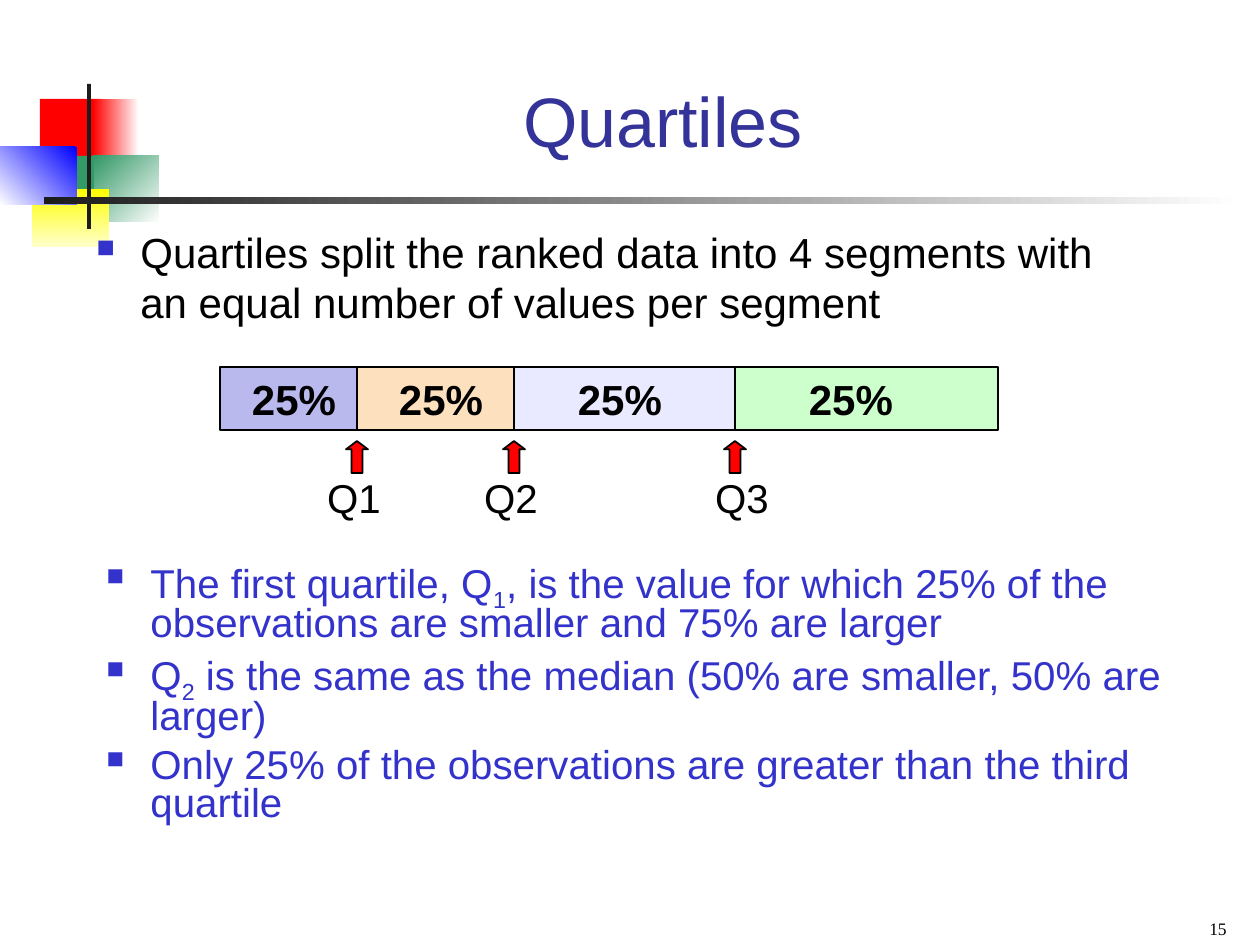
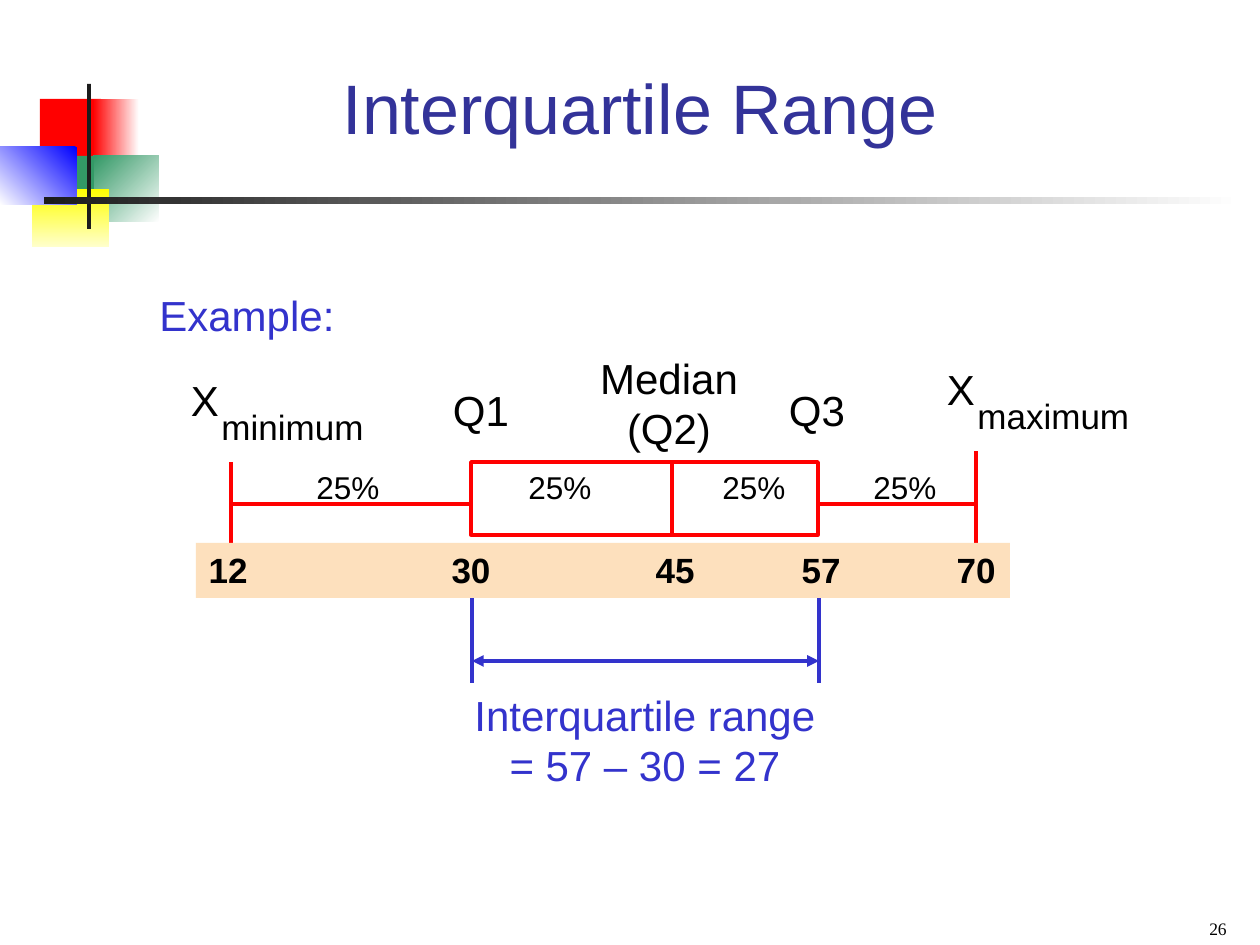
from lxml import etree
from pptx import Presentation
from pptx.dml.color import RGBColor
from pptx.enum.shapes import MSO_CONNECTOR, MSO_SHAPE
from pptx.enum.text import MSO_ANCHOR, PP_ALIGN
from pptx.oxml.ns import qn
from pptx.util import Emu, Pt

RECTANGLE, UP_ARROW = MSO_SHAPE.RECTANGLE, MSO_SHAPE.UP_ARROW
STRAIGHT = MSO_CONNECTOR.STRAIGHT
LEFT, CENTER, RIGHT = PP_ALIGN.LEFT, PP_ALIGN.CENTER, PP_ALIGN.RIGHT
TOP, BOTTOM = MSO_ANCHOR.TOP, MSO_ANCHOR.BOTTOM

BLACK, WHITE, CHARCOAL = "000000", "FFFFFF", "1C1C1C"
RED, BLUE, TITLE_BLUE, PEACH = "FF0000", "3333CC", "333399", "FDE0BD"

MOTIF = [
    ((40, 99, 61, 66), (RED,), 0),
    ((93, 99, 46, 66), (WHITE, RED), 180),
    ((94, 156, 65, 66), (WHITE, "339966"), 225),
    ((54, 156, 40, 66), ("339966",), 0),
    ((32, 189, 77, 58), ("FFFF00", "FFFFCC"), 90),
    ((0, 147, 77, 58), ("0000FF", WHITE), 135),
    ((87, 84, 4, 145), (CHARCOAL,), 0),
    ((44, 197, 1198, 7), (WHITE, CHARCOAL), 180),
]


def px(length):
    """Turn pixels at 126 to the inch into EMU."""
    return Emu(round(length * 914400 / 126))


def color(hex_code):
    """Turn a hex string into a colour."""
    return RGBColor.from_string(hex_code)


def add_block(slide, box, fills=(), angle=0, line=None, line_width=1, kind=RECTANGLE):
    """Draw a preset shape with no fill, one colour or a clockwise gradient."""
    shape = slide.shapes.add_shape(kind, *map(px, box))
    shape.shadow.inherit = False
    if len(fills) == 2:
        shape.fill.gradient()
        shape.fill.gradient_angle = (360 - angle) % 360
        for stop, fill in zip(shape.fill.gradient_stops, fills):
            stop.color.rgb = color(fill)
    elif fills:
        shape.fill.solid()
        shape.fill.fore_color.rgb = color(fills[0])
    else:
        shape.fill.background()
    if line:
        shape.line.color.rgb = color(line)
        shape.line.width = Pt(line_width)
    else:
        shape.line.fill.background()
    return shape


def add_bullet(paragraph):
    """Give a paragraph a hanging square bullet."""
    properties = paragraph._p.get_or_add_pPr()
    properties.set("marL", str(px(44)))
    properties.set("indent", str(-px(44)))
    bullet_color = etree.SubElement(properties, qn("a:buClr"))
    etree.SubElement(bullet_color, qn("a:srgbClr"), val=BLUE)
    etree.SubElement(properties, qn("a:buSzPct"), val="60000")
    etree.SubElement(properties, qn("a:buChar"), char="■")


def add_text(slide, box, paragraphs, size=24, ink=BLACK, align=CENTER, bold=False,
             font="Arial", anchor=TOP, wrap=False, bullets=False, spacing=None):
    """Add a text box; every second piece of a paragraph is a subscript."""
    frame = slide.shapes.add_textbox(*map(px, box)).text_frame
    frame.word_wrap = wrap
    frame.vertical_anchor = anchor
    for index, pieces in enumerate(paragraphs):
        paragraph = frame.add_paragraph() if index else frame.paragraphs[0]
        paragraph.alignment = align
        if bullets:
            add_bullet(paragraph)
            if index:
                paragraph.space_before = Pt(5.8)
        if spacing:
            paragraph.line_spacing = spacing
        paragraph.font.name = font
        paragraph.font.size = Pt(size)
        paragraph.font.bold = bold
        paragraph.font.color.rgb = color(ink)
        for position, piece in enumerate(pieces):
            run = paragraph.add_run()
            run.text = piece
            if position % 2:
                run._r.get_or_add_rPr().set("baseline", "-25000")


def add_centered_labels(slide, labels, top, width, height, **style):
    """Place a row of one-line labels around their centres."""
    for center, text in labels:
        add_text(slide, (center - width // 2, top, width, height), [[text]], **style)


def add_line(slide, start, end, ink, width=2, arrows=False):
    """Draw a straight line, with arrowheads at both ends on request."""
    connector = slide.shapes.add_connector(STRAIGHT, *map(px, start + end))
    connector.line.color.rgb = color(ink)
    connector.line.width = Pt(width)
    if arrows:
        outline = connector.line._get_or_add_ln()
        for tag in ("a:headEnd", "a:tailEnd"):
            etree.SubElement(outline, qn(tag), type="triangle")
    etree.SubElement(connector._element.spPr, qn("a:effectLst"))


def add_base_slide(presentation, title, title_box, number):
    """Add a slide with the corner motif, title and page number."""
    slide = presentation.slides.add_slide(presentation.slide_layouts[6])
    for box, fills, angle in MOTIF:
        add_block(slide, box, fills, angle)
    add_text(slide, title_box, [[title]], size=40, ink=TITLE_BLUE, anchor=BOTTOM, wrap=True)
    add_text(slide, (945, 901, 294, 44), [[number]], size=10, align=RIGHT,
             font="Times New Roman", anchor=BOTTOM, wrap=True)
    return slide


def build_quartiles(presentation):
    """Build the slide that explains quartiles."""
    slide = add_base_slide(presentation, "Quartiles", (126, 32, 1074, 136), "15")
    add_text(slide, (84, 220, 1030, 131),
             [["Quartiles split the ranked data into 4 segments with "
               "an equal number of values per segment"]],
             align=LEFT, wrap=True, bullets=True)

    edges = (220, 357, 514, 735, 998)
    segment_fills = ("B9B9ED", PEACH, "E9E9FF", "CCFFCC")
    for left, right, fill in zip(edges, edges[1:], segment_fills):
        add_block(slide, (left, 367, right - left, 63), (fill,), line=BLACK)
    add_centered_labels(slide, [(center, "25%") for center in (294, 441, 620, 851)],
                        367, 128, 63, bold=True)

    for edge in edges[1:4]:
        arrow = add_block(slide, (edge - 11, 441, 22, 32), (RED,), line=BLACK, kind=UP_ARROW)
        arrow.adjustments[0], arrow.adjustments[1] = 0.5, 0.38
    add_centered_labels(slide, [(354, "Q1"), (511, "Q2"), (742, "Q3")],
                        473, 84, 63, size=23, spacing=0.9)

    add_text(slide, (94, 557, 1103, 305), [
        ["The first quartile, Q", "1", ", is the value for which 25% of the "
         "observations are smaller and 75% are larger"],
        ["Q", "2", " is the same as the median (50% are smaller, 50% are larger)"],
        ["Only 25% of the observations are greater than the third quartile"],
    ], size=23, ink=BLUE, align=LEFT, wrap=True, bullets=True, spacing=0.8)


def build_interquartile_range(presentation):
    """Build the box plot slide with the interquartile range."""
    slide = add_base_slide(presentation, "Interquartile Range", (220, 32, 840, 123), "26")
    minimum, first, median, third, maximum = 231, 471, 672, 818, 976

    add_line(slide, (first + 1, 661), (third + 1, 661), BLUE, 2.25, arrows=True)
    add_block(slide, (first, 462, third - first, 73), line=RED, line_width=2)
    add_line(slide, (median, 535), (median, 462), RED)
    for start, end in ((minimum, first), (third, maximum)):
        add_line(slide, (start, 504), (end, 504), RED)
    for end, top in ((minimum, 462), (maximum, 451)):
        add_line(slide, (end, 546), (end, top), RED)

    add_text(slide, (147, 283, 200, 63), [["Example:"]], ink=BLUE)
    add_text(slide, (578, 346, 182, 113), [["Median"], ["(Q2)"]])
    add_centered_labels(slide, [(481, "Q1"), (817, "Q3")], 378, 100, 63)
    for center, top, name in ((205, 368, "minimum"), (961, 357, "maximum")):
        add_centered_labels(slide, [(center, "X")], top, 60, 63)
        add_text(slide, (center + 4, top + 31, 200, 54), [[name]], size=20, align=LEFT)

    add_centered_labels(slide, [(center, "25%") for center in (348, 560, 754, 905)],
                        462, 100, 50, size=18)
    add_block(slide, (196, 543, 814, 55), (PEACH,))
    values = [(228, "12"), (471, "30"), (675, "45"), (821, "57"), (976, "70")]
    add_centered_labels(slide, values, 542, 80, 55, size=20, bold=True)

    for end in (first + 1, third + 1):
        add_line(slide, (end, 683), (end, 598), BLUE)
    add_text(slide, (461, 683, 368, 113), [["Interquartile range"], ["= 57 – 30 = 27"]],
             ink=BLUE, wrap=True)


def main():
    """Build and save the presentation."""
    presentation = Presentation()
    presentation.slide_width, presentation.slide_height = px(1260), px(945)
    build_quartiles(presentation)
    build_interquartile_range(presentation)
    presentation.save("out.pptx")


if __name__ == "__main__":
    main()
